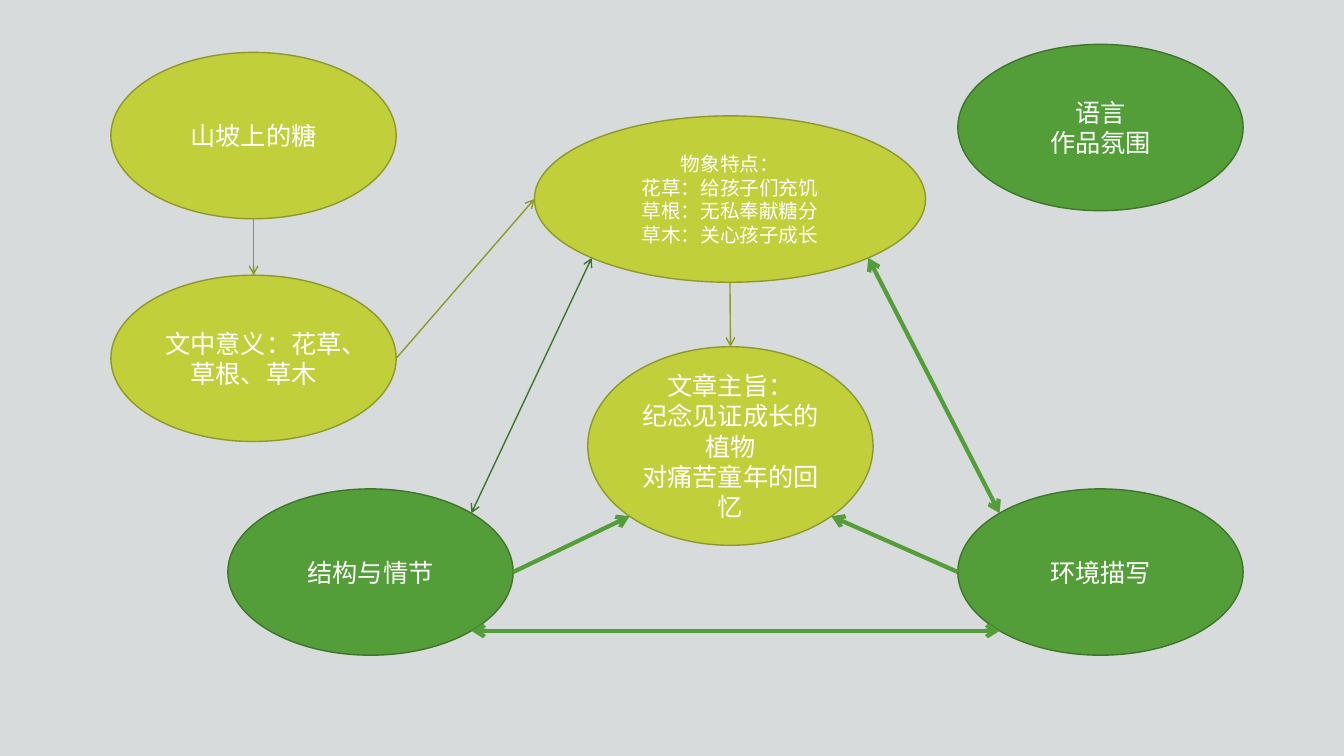
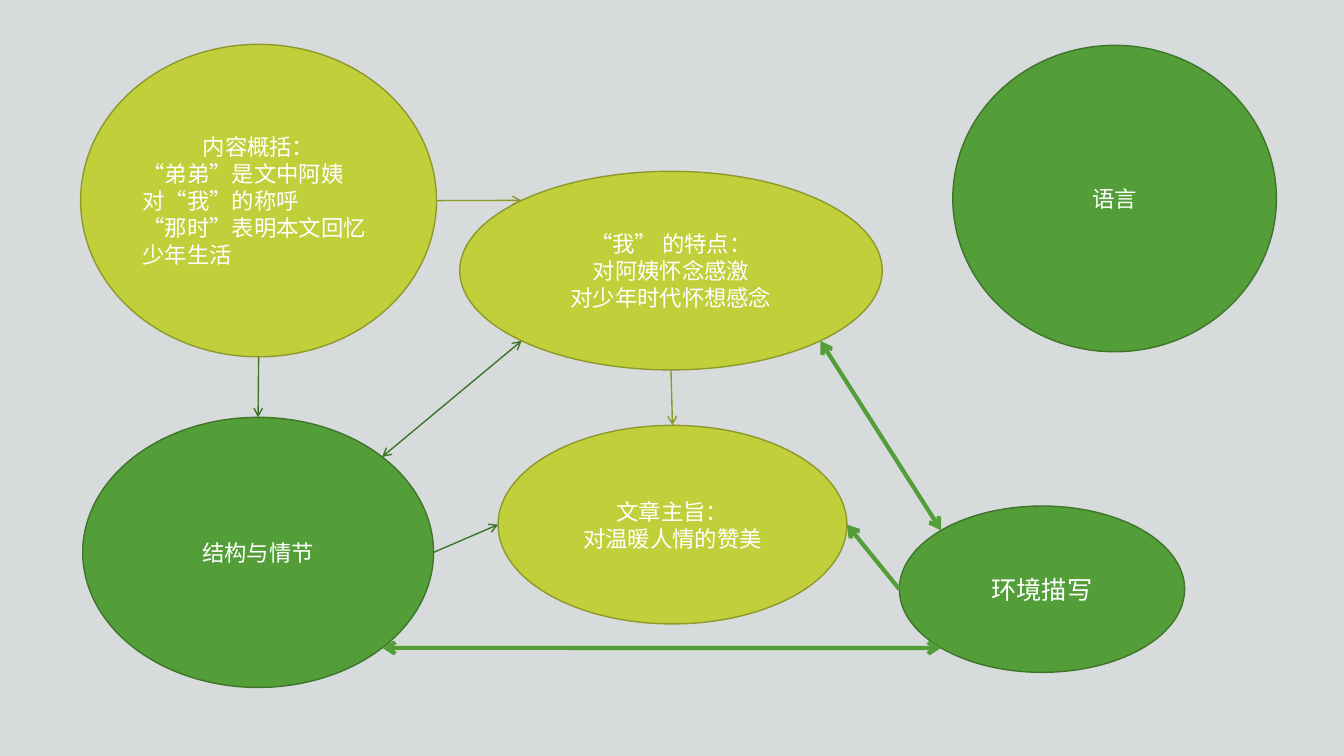
from itertools import repeat
from math import cos, pi, sin

from lxml import etree
from pptx import Presentation
from pptx.dml.color import RGBColor
from pptx.enum import shapes, text
from pptx.oxml import ns
from pptx.util import Inches, Pt

GREY = RGBColor(0xD7, 0xDB, 0xDC)
WHITE = RGBColor(0xFF, 0xFF, 0xFF)
LIME = RGBColor(0xC0, 0xCF, 0x3A)
DARK_LIME = RGBColor(0x8E, 0x99, 0x2B)
GREEN = RGBColor(0x54, 0x9E, 0x39)
DARK_GREEN = RGBColor(0x3E, 0x75, 0x2A)
OUTLINE = {LIME: DARK_LIME, GREEN: DARK_GREEN}

LATIN = "Arial Narrow"
CJK = "Noto Sans CJK SC"
CENTER, LEFT = text.PP_ALIGN.CENTER, text.PP_ALIGN.LEFT

# Connection sites of an ellipse, counter-clockwise from the top
TOP, TOP_LEFT, MID_LEFT, LOW_LEFT, BOTTOM, LOW_RIGHT, MID_RIGHT, TOP_RIGHT = range(8)

THIN_LIME = (DARK_LIME, 1)
THIN_GREEN = (DARK_GREEN, 1)
THICK_GREEN = (GREEN, 3)


def add_ellipse(s, box, fill, lines, size=18, fonts=repeat(LATIN), aligns=repeat(CENTER)):
    """Add an ellipse with one paragraph per line; fonts and aligns run along the lines."""
    sp = s.shapes.add_shape(shapes.MSO_SHAPE.OVAL, *map(Inches, box))
    sp.shadow.inherit = False
    sp.fill.solid()
    sp.fill.fore_color.rgb = fill
    sp.line.color.rgb = OUTLINE[fill]
    sp.line.width = Pt(1)
    tf = sp.text_frame
    tf.word_wrap = True
    tf.vertical_anchor = text.MSO_ANCHOR.MIDDLE
    for i, (line, font, align) in enumerate(zip(lines, fonts, aligns)):
        p = tf.add_paragraph() if i else tf.paragraphs[0]
        p.text = line
        p.alignment = align
        p.font.name = font
        p.font.size = Pt(size)
        p.font.color.rgb = WHITE
        props = p._p.pPr.find(ns.qn("a:defRPr"))
        etree.SubElement(props, ns.qn("a:ea"), typeface=CJK)
    return sp


def site_point(sp, site):
    angle = site * pi / 4
    x = sp.left + sp.width / 2 * (1 - sin(angle))
    y = sp.top + sp.height / 2 * (1 - cos(angle))
    return round(x), round(y)


def add_arrow(s, start, start_site, end, end_site, style, both=False):
    """Join two ellipses at their sites with an arrow, two-headed if both is set."""
    color, width = style
    line = s.shapes.add_connector(
        shapes.MSO_CONNECTOR.STRAIGHT, *site_point(start, start_site), *site_point(end, end_site))
    line.line.color.rgb = color
    line.line.width = Pt(width)
    ln = line.line._get_or_add_ln()
    for tag in ("a:headEnd", "a:tailEnd") if both else ("a:tailEnd",):
        etree.SubElement(ln, ns.qn(tag), type="arrow")
    etree.SubElement(line._element.spPr, ns.qn("a:effectLst"))
    joins = line._element.find(".//" + ns.qn("p:cNvCxnSpPr"))
    for tag, sp, site in (("a:stCxn", start, start_site), ("a:endCxn", end, end_site)):
        etree.SubElement(joins, ns.qn(tag), id=str(sp.shape_id), idx=str(site))


def add_scenery_links(s, scenery, traits, plot):
    add_arrow(s, traits, LOW_RIGHT, scenery, TOP_LEFT, THICK_GREEN, both=True)
    add_arrow(s, scenery, LOW_LEFT, plot, LOW_RIGHT, THICK_GREEN, both=True)


def add_shared_links(s, scenery, traits, plot, theme):
    add_scenery_links(s, scenery, traits, plot)
    add_arrow(s, traits, BOTTOM, theme, TOP, THIN_LIME)
    add_arrow(s, traits, LOW_LEFT, plot, TOP_RIGHT, THIN_GREEN, both=True)


def add_hillside_slide(prs):
    s = prs.slides.add_slide(prs.slide_layouts[6])
    theme = add_ellipse(s, (5.83, 3.44, 2.83, 1.97), LIME,
                        ["文章主旨：", "纪念见证成长的植物", "对痛苦童年的回忆"])
    plot = add_ellipse(s, (2.26, 4.85, 2.83, 1.65), GREEN, ["结构与情节"])
    scenery = add_ellipse(s, (9.5, 4.85, 2.83, 1.65), GREEN, ["环境描写"])
    traits = add_ellipse(s, (5.3, 1.15, 3.88, 1.65), LIME,
                         ["物象特点：", "花草：给孩子们充饥", "草根：无私奉献糖分", "草木：关心孩子成长"],
                         size=14, fonts=repeat(CJK))
    meaning = add_ellipse(s, (1.1, 2.73, 2.83, 1.65), LIME, ["文中意义：花草、草根、草木"])
    title = add_ellipse(s, (1.1, 0.52, 2.83, 1.65), LIME, ["山坡上的糖"])
    add_ellipse(s, (9.5, 0.44, 2.83, 1.65), GREEN, ["语言", "作品氛围"])

    add_shared_links(s, scenery, traits, plot, theme)
    add_arrow(s, scenery, MID_LEFT, theme, LOW_RIGHT, THICK_GREEN)
    add_arrow(s, plot, MID_RIGHT, theme, LOW_LEFT, THICK_GREEN)
    add_arrow(s, title, BOTTOM, meaning, TOP, THIN_LIME)
    add_arrow(s, meaning, MID_RIGHT, traits, MID_LEFT, THIN_LIME)


def add_brother_slide(prs):
    s = prs.slides.add_slide(prs.slide_layouts[6])
    theme = add_ellipse(s, (4.94, 4.22, 3.46, 1.97), LIME,
                        ["文章主旨：", "对温暖人情的赞美"], size=16)
    scenery = add_ellipse(s, (8.92, 5.02, 2.83, 1.65), GREEN, ["环境描写"])
    traits = add_ellipse(s, (4.56, 1.7, 4.19, 1.97), LIME,
                         ["“我” 的特点：", "对阿姨怀念感激", "对少年时代怀想感念"],
                         size=16, fonts=(CJK, LATIN, LATIN))
    summary = add_ellipse(s, (0.8, 0.44, 3.53, 3.1), LIME,
                          ["内容概括：", "“弟弟”是文中阿姨对“我”的称呼", "“那时”表明本文回忆少年生活"],
                          size=16, aligns=(CENTER, LEFT, LEFT))
    add_ellipse(s, (9.45, 0.45, 3.21, 3.04), GREEN, ["语言"], size=16)
    plot = add_ellipse(s, (0.82, 4.14, 3.48, 2.68), GREEN, ["结构与情节"], size=16)

    add_shared_links(s, scenery, traits, plot, theme)
    add_arrow(s, scenery, MID_LEFT, theme, MID_RIGHT, THICK_GREEN)
    add_arrow(s, plot, MID_RIGHT, theme, MID_LEFT, THIN_GREEN)
    add_arrow(s, summary, BOTTOM, plot, TOP, THIN_GREEN)
    add_arrow(s, summary, MID_RIGHT, traits, TOP_LEFT, THIN_LIME)


def main():
    prs = Presentation()
    prs.slide_width, prs.slide_height = Inches(13.33), Inches(7.5)
    backdrop = prs.slide_master.background.fill
    backdrop.solid()
    backdrop.fore_color.rgb = GREY
    add_hillside_slide(prs)
    add_brother_slide(prs)
    prs.save("out.pptx")


if __name__ == "__main__":
    main()
